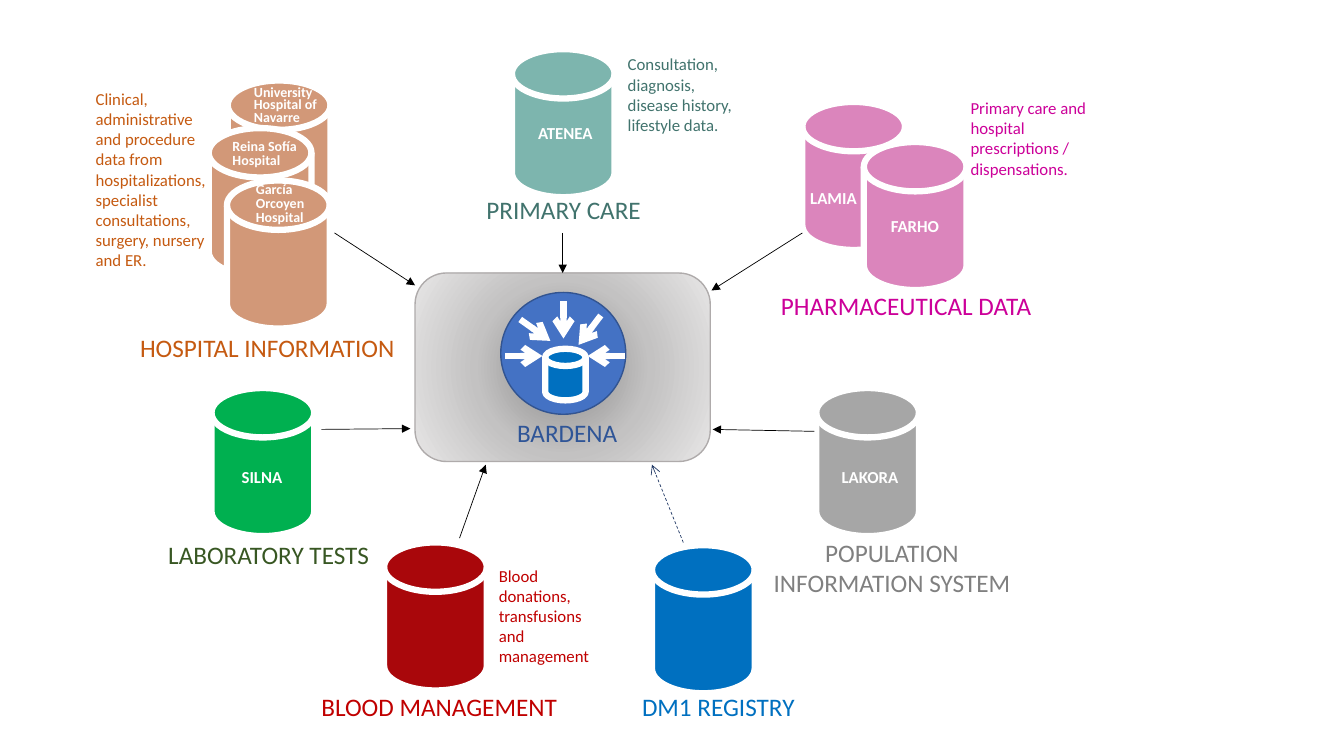
from dataclasses import dataclass

from pptx import Presentation
from pptx.dml.color import RGBColor
from pptx.enum.dml import MSO_LINE
from pptx.enum.shapes import MSO_CONNECTOR, MSO_SHAPE
from pptx.enum.text import MSO_AUTO_SIZE, PP_ALIGN
from pptx.oxml import parse_xml
from pptx.oxml.ns import nsdecls, qn
from pptx.util import Cm, Pt

DISK = MSO_SHAPE.FLOWCHART_MAGNETIC_DISK
CIRCLE = MSO_SHAPE.OVAL
ROUNDED = MSO_SHAPE.ROUNDED_RECTANGLE
STRAIGHT = MSO_CONNECTOR.STRAIGHT
DASH = MSO_LINE.DASH
LEFT, CENTER = PP_ALIGN.LEFT, PP_ALIGN.CENTER
FIT_SHAPE = MSO_AUTO_SIZE.SHAPE_TO_FIT_TEXT
TOP_SIDE = 0


@dataclass(frozen=True)
class Theme:
    font: str = "Calibri"
    heading: float = 18
    note: float = 12
    small: float = 10
    thin: float = 0.5
    outline: float = 1
    thick: float = 4.5
    white: str = "FFFFFF"
    black: str = "000000"
    magenta: str = "CC0099"
    pink: str = "DB85BC"
    teal: str = "41736D"
    mint: str = "7DB5AE"
    orange: str = "C55A11"
    tan: str = "D29878"
    forest: str = "385723"
    green: str = "00B050"
    red: str = "C00000"
    crimson: str = "A9070B"
    blue: str = "0070C0"
    grey: str = "808080"
    silver: str = "A6A6A6"
    hub_text: str = "2F5597"
    hub_disc: str = "4472C4"
    hub_disc_edge: str = "325491"
    hub_edge: str = "AFABAB"
    navy: str = "203864"
    hub_glow: tuple = ((0, "898888"), (50, "C3C2C2"), (100, "E7E6E6"))


THEME = Theme()
DISK_SIZE = (2.59, 3.73)
HEADING_HEIGHT = 1.02
LABEL_HEIGHT = 0.76

# fill, left, top (cm), from back to front
SOURCES = [
    (THEME.pink, 20.22, 2.57), (THEME.pink, 21.77, 3.58),
    (THEME.mint, 12.9, 1.24),
    (THEME.tan, 5.74, 2.03), (THEME.tan, 5.26, 3.23), (THEME.tan, 5.72, 4.55),
    (THEME.green, 5.33, 9.78), (THEME.silver, 20.57, 9.78),
    (THEME.crimson, 9.68, 13.67), (THEME.blue, 16.43, 13.74),
]
# start x, start y, end x, end y (cm)
INNER_ARROWS = [
    (14.2, 7.59, 14.2, 8.53), (15.14, 7.95, 14.58, 8.69),
    (15.75, 8.97, 14.81, 8.97), (13.11, 8.05, 13.87, 8.59),
    (12.73, 8.97, 13.67, 8.97),
]
FEEDS = [
    (20.22, 5.87, 17.93, 7.32), (8.43, 5.87, 10.46, 7.19),
    (8.1, 10.82, 10.34, 10.8), (11.58, 13.56, 12.24, 11.71),
    (20.52, 10.87, 17.96, 10.82),
]
# text, colour, left, top, width (cm), wrapped
HEADINGS = [
    ("PHARMACEUTICAL DATA", THEME.magenta, 19.43, 7.19, 7.44, True),
    ("BARDENA", THEME.hub_text, 12.78, 10.39, 3.07, False),
    ("BLOOD MANAGEMENT", THEME.red, 7.85, 17.3, 6.48, False),
    ("LABORATORY TESTS", THEME.forest, 3.99, 13.46, 5.61, True),
    ("HOSPITAL INFORMATION", THEME.orange, 3.28, 8.26, 6.98, False),
    ("PRIMARY CARE", THEME.teal, 12.01, 4.78, 4.45, False),
    ("DM1 REGISTRY", THEME.blue, 15.93, 17.3, 4.6, True),
]
# text, colour, (left, top, width, height) (cm)
NOTES = [
    ("Primary care and hospital prescriptions / dispensations.",
     THEME.magenta, (24.21, 2.34, 3.91, 2.82)),
    ("Consultation, diagnosis, disease history, lifestyle data.",
     THEME.teal, (15.57, 1.24, 3.25, 2.82)),
    ("Blood donations,\ntransfusions and management",
     THEME.red, (12.32, 14.12, 3.18, 2.82)),
    ("Clinical, administrative and procedure data from hospitalizations, "
     "specialist consultations, surgery, nursery and ER.",
     THEME.orange, (2.16, 2.11, 3.38, 4.88)),
]
# text, left, top, width (cm)
SYSTEM_NAMES = [
    ("LAKORA", 20.96, 11.63, 4.17), ("SILNA", 5.84, 11.63, 1.57),
    ("LAMIA", 20.17, 4.6, 1.7), ("FARHO", 22.2, 5.31, 1.8),
    ("ATENEA", 13.31, 2.97, 2.26),
]
# text, (left, top, width, height) (cm), line spacing (pt)
HOSPITAL_NAMES = [
    ("University Hospital of Navarre", (6.15, 2.08, 2.59, 1.24), 9),
    ("Reina Sofía Hospital", (5.61, 3.4, 2.59, 0.97), 10),
    ("García Orcoyen Hospital", (6.2, 4.5, 2.59, 1.32), 10),
]


class Diagram:
    def __init__(self, slide, theme):
        self.shapes = slide.shapes
        self.theme = theme

    def shape(self, kind, area, fill, edge, weight):
        shape = self.shapes.add_shape(kind, *map(Cm, area))
        shape.shadow.inherit = False
        shape.fill.solid()
        shape.fill.fore_color.rgb = RGBColor.from_string(fill)
        shape.line.color.rgb = RGBColor.from_string(edge)
        shape.line.width = Pt(weight)
        return shape

    def disk(self, area, fill):
        return self.shape(DISK, area, fill, self.theme.white, self.theme.thick)

    def glow(self, shape, stops):
        """Replace a solid fill with a gradient spreading from the centre."""
        stop_xml = "".join(
            f'<a:gs pos="{percent * 1000}"><a:srgbClr val="{color}"/></a:gs>'
            for percent, color in stops)
        gradient = parse_xml(
            f'<a:gradFill {nsdecls("a")} rotWithShape="1"><a:gsLst>{stop_xml}</a:gsLst>'
            '<a:path path="circle"><a:fillToRect l="50000" t="50000" r="50000" '
            'b="50000"/></a:path></a:gradFill>')
        properties = shape.element.spPr
        properties.replace(properties.find(qn("a:solidFill")), gradient)

    def arrow(self, ends, color, weight, head="triangle", dash=None):
        line = self.shapes.add_connector(STRAIGHT, *map(Cm, ends))
        line.line.color.rgb = RGBColor.from_string(color)
        line.line.width = Pt(weight)
        if dash:
            line.line.dash_style = dash
        line.line._get_or_add_ln().append(
            parse_xml(f'<a:tailEnd {nsdecls("a")} type="{head}"/>'))
        line.element.spPr.append(parse_xml(f'<a:effectLst {nsdecls("a")}/>'))
        return line

    def text(self, words, area, size, color, bold=False, align=LEFT,
             wrap=True, spacing=None):
        box = self.shapes.add_textbox(*map(Cm, area))
        frame = box.text_frame
        frame.text = words
        frame.word_wrap = wrap
        frame.auto_size = FIT_SHAPE
        for para in frame.paragraphs:
            para.alignment = align
            para.font.name = self.theme.font
            para.font.size = Pt(size)
            para.font.bold = bold
            para.font.color.rgb = RGBColor.from_string(color)
            if spacing:
                para.line_spacing = Pt(spacing)


def main():
    deck = Presentation()
    deck.slide_width, deck.slide_height = Cm(33.87), Cm(19.05)
    theme = THEME
    diagram = Diagram(deck.slides.add_slide(deck.slide_layouts[6]), theme)

    hub = diagram.shape(ROUNDED, (10.46, 6.88, 7.44, 4.75), theme.silver,
                        theme.hub_edge, theme.outline)
    diagram.glow(hub, theme.hub_glow)
    for fill, left, top in SOURCES:
        diagram.disk((left, top, *DISK_SIZE), fill)

    diagram.shape(CIRCLE, (12.62, 7.37, 3.15, 3.07), theme.hub_disc,
                  theme.hub_disc_edge, theme.outline)
    for ends in INNER_ARROWS:
        diagram.arrow(ends, theme.white, theme.thick, head="arrow")
    diagram.disk((13.74, 8.79, 1.02, 1.3), theme.blue)

    for ends in FEEDS:
        diagram.arrow(ends, theme.black, theme.thin)
    primary_feed = diagram.arrow((14.18, 5.87, 14.18, 6.88), theme.black, theme.thin)
    primary_feed.end_connect(hub, TOP_SIDE)
    diagram.arrow((17.22, 13.67, 16.43, 11.71), theme.navy, theme.thin,
                  head="arrow", dash=DASH)

    for words, color, left, top, width, wrap in HEADINGS:
        diagram.text(words, (left, top, width, HEADING_HEIGHT), theme.heading,
                     color, wrap=wrap)
    diagram.text("POPULATION INFORMATION SYSTEM", (19.1, 13.41, 6.76, 1.8),
                 theme.heading, theme.grey, align=CENTER)
    for words, color, area in NOTES:
        diagram.text(words, area, theme.note, color)
    for words, left, top, width in SYSTEM_NAMES:
        diagram.text(words, (left, top, width, LABEL_HEIGHT), theme.note,
                     theme.white, bold=True)
    for words, area, spacing in HOSPITAL_NAMES:
        diagram.text(words, area, theme.small, theme.white, bold=True,
                     spacing=spacing)

    deck.save("out.pptx")


if __name__ == "__main__":
    main()
